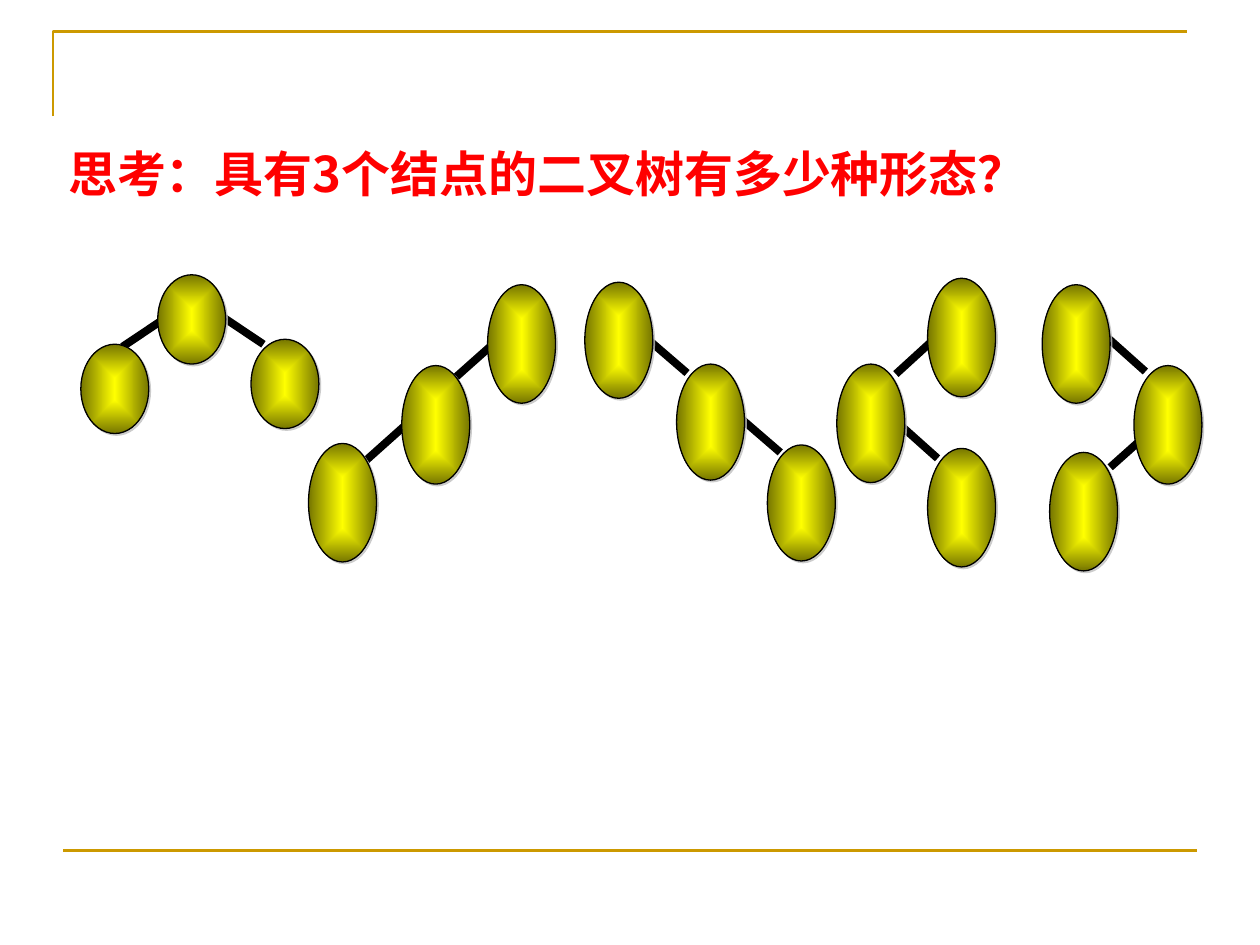
from collections import namedtuple

from lxml.etree import SubElement
from pptx import Presentation
from pptx.dml.color import RGBColor
from pptx.enum.shapes import MSO_CONNECTOR as Connector, MSO_SHAPE as Shape
from pptx.enum.text import MSO_ANCHOR as Anchor, MSO_AUTO_SIZE as AutoSize, PP_ALIGN as Align
from pptx.oxml.ns import qn
from pptx.util import Cm, Pt

FONT = "Noto Sans CJK SC"
GOLD, RED, BLACK = "CC9900", "FF0000", "000000"
YELLOW, OLIVE, SILVER = "FFFF00", "767600", "C0C0C0"
NODE_WIDTH = 1.37

# Nodes are (left, top) and edges (x1, y1, x2, y2), in cm from the tree's corner
Tree = namedtuple("Tree", "left top node_height nodes edges")
TREES = [
    # Root with two children
    Tree(1.63, 5.54, 1.8, [(1.55, 0), (0, 1.4), (3.43, 1.3)],
         [(1.75, 0.84, 0.84, 1.45), (2.77, 0.79, 3.68, 1.4)]),
    # Left, left
    Tree(6.22, 5.74, 2.39, [(3.61, 0), (1.88, 1.63), (0, 3.2)],
         [(3.86, 1.07, 2.95, 1.88), (2.11, 2.69, 1.17, 3.53)]),
    # Right, right
    Tree(11.79, 5.69, 2.34, [(0, 0), (1.85, 1.65), (3.68, 3.28)],
         [(1.12, 1.02, 2.06, 1.83), (3, 2.62, 3.94, 3.43)]),
    # Left, right
    Tree(16.87, 5.61, 2.39, [(1.83, 0), (0, 1.73), (1.83, 3.43)],
         [(1.09, 2.79, 2.03, 3.63), (2.11, 1.09, 1.19, 1.93)]),
    # Right, left
    Tree(21.01, 5.74, 2.39, [(0, 0), (1.85, 1.63), (0.15, 3.38)],
         [(1.14, 0.91, 2.08, 1.75), (2.31, 2.84, 1.37, 3.68)]),
]


def color(value):
    return RGBColor.from_string(value)


def set_line(shape, value, width):
    shape.line.color.rgb = color(value)
    shape.line.width = Pt(width)


def add_line(shapes, x1, y1, x2, y2, value, width):
    line = shapes.add_connector(Connector.STRAIGHT, Cm(x1), Cm(y1), Cm(x2), Cm(y2))
    set_line(line, value, width)
    SubElement(line._element.spPr, qn("a:effectLst"))


def add_frame(slide, left, top, width, height):
    """Corner line at the top left and a rule along the bottom."""
    builder = slide.shapes.build_freeform(Cm(left), Cm(top + 1.7))
    builder.add_line_segments(
        [(Cm(left), Cm(top)), (Cm(left + width), Cm(top))], close=False)
    corner = builder.convert_to_shape()
    corner.fill.background()
    corner.shadow.inherit = False
    set_line(corner, GOLD, 1.5)
    bottom = top + height
    add_line(slide.shapes, left + 0.2, bottom, left + 0.2 + width, bottom, GOLD, 1.5)


def add_title(slide, text, left, top, width, height):
    title = slide.shapes.title
    title.left, title.top, title.width, title.height = map(Cm, (left, top, width, height))
    frame = title.text_frame
    frame.text = text
    frame.word_wrap = True
    frame.auto_size = AutoSize.NONE
    frame.vertical_anchor = Anchor.TOP
    paragraph = frame.paragraphs[0]
    paragraph.alignment = Align.LEFT
    paragraph.line_spacing = 1.5
    run = paragraph.runs[0]
    run.font.size, run.font.bold, run.font.name = Pt(28), True, FONT
    run.font.color.rgb = color(RED)
    SubElement(run.font._element, qn("a:ea"), typeface=FONT)


def add_node(shapes, left, top, height):
    node = shapes.add_shape(Shape.OVAL, Cm(left), Cm(top), Cm(NODE_WIDTH), Cm(height))
    set_line(node, BLACK, 0.75)
    # Gradient running outwards from the centre
    node.fill.gradient()
    for stop, value in zip(node.fill.gradient_stops, (YELLOW, OLIVE)):
        stop.color.rgb = color(value)
    properties = node._element.spPr
    gradient = properties.find(qn("a:gradFill"))
    gradient.remove(gradient.find(qn("a:lin")))
    centre = SubElement(gradient, qn("a:path"), path="rect")
    SubElement(centre, qn("a:fillToRect"), l="50000", t="50000", r="50000", b="50000")
    # Small grey shadow
    node.shadow.inherit = False
    shadow = SubElement(properties.find(qn("a:effectLst")), qn("a:outerShdw"),
                        dist=str(Pt(1.4)), dir="2700000", algn="ctr", rotWithShape="0")
    tint = SubElement(shadow, qn("a:srgbClr"), val=SILVER)
    SubElement(tint, qn("a:alpha"), val="80000")


def add_tree(slide, tree):
    shapes = slide.shapes.add_group_shape().shapes
    for x1, y1, x2, y2 in tree.edges:
        add_line(shapes, tree.left + x1, tree.top + y1,
                 tree.left + x2, tree.top + y2, BLACK, 4.5)
    for left, top in tree.nodes:
        add_node(shapes, tree.left + left, tree.top + top, tree.node_height)


def main():
    presentation = Presentation()
    presentation.slide_width, presentation.slide_height = Cm(25.4), Cm(19.05)
    slide = presentation.slides.add_slide(presentation.slide_layouts[5])
    add_frame(slide, 1.07, 0.64, 22.86, 16.51)
    add_title(slide, "思考：具有3个结点的二叉树有多少种形态？", 1.12, 2.18, 20.22, 2.03)
    for tree in TREES:
        add_tree(slide, tree)
    presentation.save("out.pptx")


if __name__ == "__main__":
    main()
